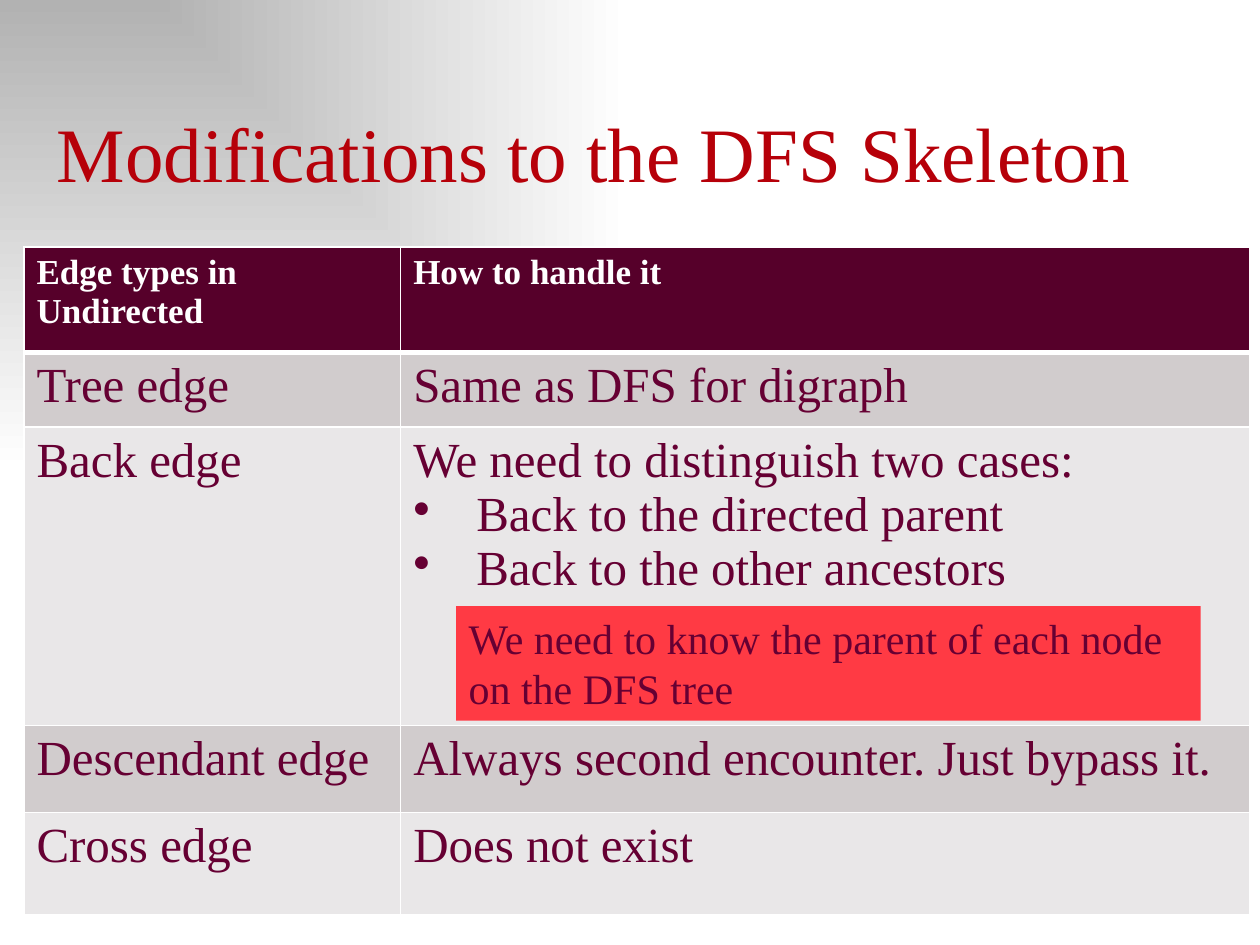
from lxml import etree
from pptx import Presentation
from pptx.dml.color import RGBColor
from pptx.enum.shapes import MSO_SHAPE
from pptx.enum.text import MSO_ANCHOR, MSO_AUTO_SIZE, PP_ALIGN
from pptx.oxml.ns import qn
from pptx.util import Inches, Pt

LEFT, BOTTOM = PP_ALIGN.LEFT, MSO_ANCHOR.BOTTOM
TOP, GROW = MSO_ANCHOR.TOP, MSO_AUTO_SIZE.SHAPE_TO_FIT_TEXT
RECT = MSO_SHAPE.RECTANGLE
FONT = "Times New Roman"
COLORS = {
    "title": "B60009", "text": "660033", "head": "56002A", "white": "FFFFFF",
    "dark": "D1CCCD", "light": "E9E7E8", "note": "FF3A44", "gray": "B2B2B2",
}


def style(para, size, color, bold=False):
    font = para.font
    font.name, font.size, font.bold = FONT, Pt(size), bold
    font.color.rgb = RGBColor.from_string(COLORS[color])
    para.alignment = LEFT


def border(cell, side, width, slot):
    line = etree.Element(qn("a:" + side), w=str(Pt(width)))
    fill = etree.SubElement(line, qn("a:solidFill"))
    etree.SubElement(fill, qn("a:srgbClr"), val=COLORS["white"])
    cell._tc.get_or_add_tcPr().insert(slot, line)


prs = Presentation()
prs.slide_width, prs.slide_height = Inches(10), Inches(7.5)
slide = prs.slides.add_slide(prs.slide_layouts[5])

# Background gradient spreading from the top left corner
back = slide.background.fill
back.gradient()
for stop, name in zip(back.gradient_stops, ("gray", "white")):
    stop.color.rgb = RGBColor.from_string(COLORS[name])
grad = slide.element.find(".//" + qn("a:gradFill"))
grad.remove(grad.find(qn("a:lin")))
shade = etree.SubElement(grad, qn("a:path"), {"path": "rect"})
etree.SubElement(shade, qn("a:fillToRect"), r="100000", b="100000")

# Title
title = slide.shapes.title
title.left, title.top = Inches(0.35), Inches(0.79)
title.width, title.height = Inches(9.45), Inches(0.83)
frame = title.text_frame
frame.text = "Modifications to the DFS Skeleton"
frame.vertical_anchor, frame.auto_size = BOTTOM, GROW
style(frame.paragraphs[0], 44, "title")

# Table of edge types
rows = [
    (0.84, "Edge types in Undirected", "How to handle it"),
    (0.59, "Tree edge", "Same as DFS for digraph"),
    (2.37, "Back edge", "We need to distinguish two cases:\n"
     "Back to the directed parent\nBack to the other ancestors"),
    (0.69, "Descendant edge", "Always second encounter. Just bypass it."),
    (0.81, "Cross edge", "Does not exist"),
]
table = slide.shapes.add_table(len(rows), 2, Inches(0.19), Inches(1.96),
                               Inches(9.73), Inches(5.3)).table
for col, width in zip(table.columns, (2.99, 6.74)):
    col.width = Inches(width)
for i, (height, *texts) in enumerate(rows):
    table.rows[i].height = Inches(height)
    head = i == 0
    shade = "head" if head else ("light", "dark")[i % 2]
    for cell, text in zip(table.rows[i].cells, texts):
        cell.text = text
        cell.fill.solid()
        cell.fill.fore_color.rgb = RGBColor.from_string(COLORS[shade])
        for slot, side in enumerate(("lnL", "lnR", "lnT", "lnB")):
            thick = (head and side == "lnB") or (i == 1 and side == "lnT")
            border(cell, side, 3 if thick else 1, slot)
        for j, para in enumerate(cell.text_frame.paragraphs):
            style(para, 20 if head else 28, "white" if head else "text", head)
            if j:  # lines after the first are bullets
                props = para._p.get_or_add_pPr()
                props.set("marL", str(Inches(0.5)))
                props.set("indent", str(Inches(-0.5)))
                bullet = etree.Element(qn("a:buChar"), char="•")
                props.insert(0, bullet)

# Note over the back edge row
note = slide.shapes.add_shape(RECT, Inches(3.62), Inches(4.81),
                              Inches(5.91), Inches(0.91))
note.shadow.inherit = False
note.fill.solid()
note.fill.fore_color.rgb = RGBColor.from_string(COLORS["note"])
note.line.fill.background()
frame = note.text_frame
frame.word_wrap, frame.vertical_anchor, frame.auto_size = True, TOP, GROW
frame.text = "We need to know the parent of each node on the DFS tree"
style(frame.paragraphs[0], 24, "text")

prs.save("out.pptx")
